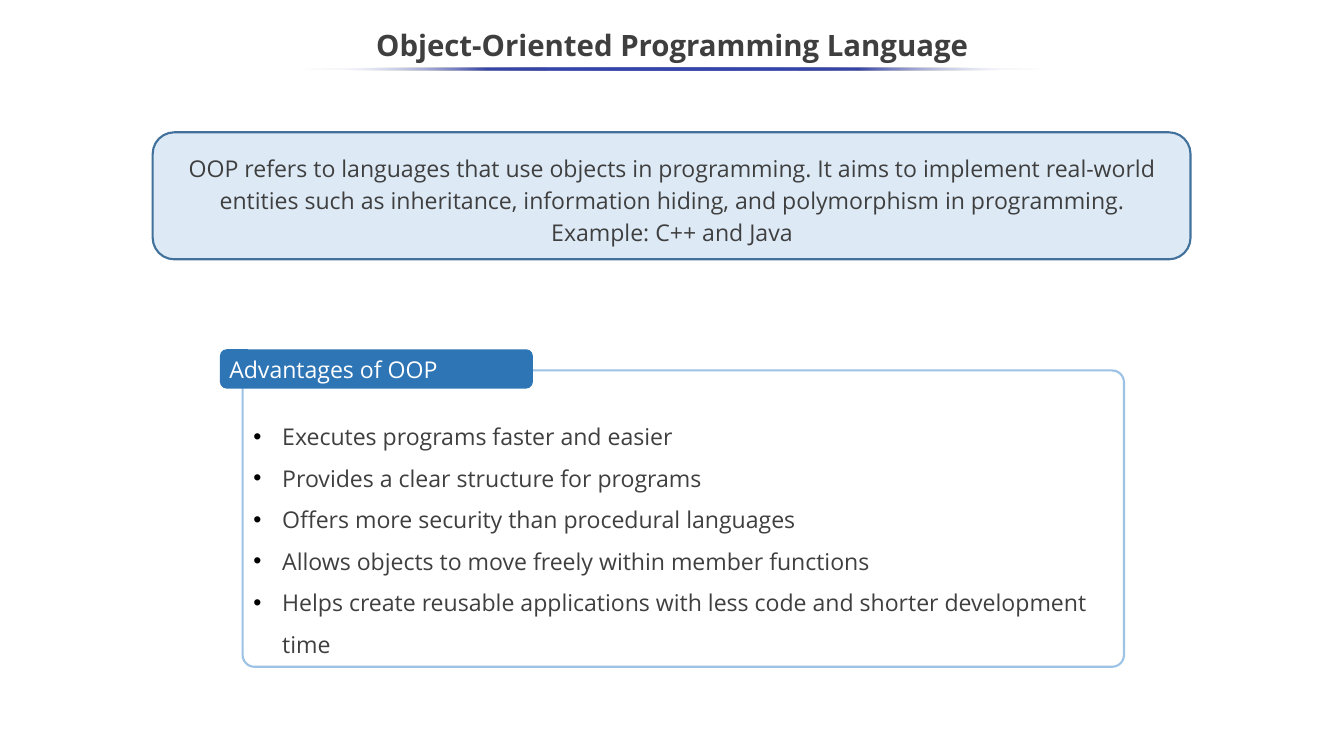
"""Build a slide that defines object-oriented programming and lists its advantages."""
from dataclasses import dataclass
from lxml.etree import SubElement
from pptx import Presentation
from pptx.dml.color import RGBColor
from pptx.enum.shapes import MSO_SHAPE
from pptx.enum.text import MSO_ANCHOR, PP_ALIGN
from pptx.oxml.ns import qn
from pptx.util import Pt

PX = 9144


@dataclass(frozen=True)
class Theme:
    face: str = "Open Sans"
    ink: str = "3F3F3F"
    white: str = "FFFFFF"
    dot: str = "000000"
    pale: str = "DDEAF6"
    edge: str = "42719B"
    frame: str = "9CC2E5"
    tab: str = "2E75B5"
    glow: str = "3645A9"
    head: int = 28
    body: int = 22


theme = Theme()


def add_box(kind, area, fill=None, line=None, round=None):
    box = slide.shapes.add_shape(kind, *[n * PX for n in area])
    box.shadow.inherit = False
    if round is not None:
        box.adjustments[0] = round
    if fill:
        box.fill.solid()
        box.fill.fore_color.rgb = RGBColor.from_string(fill)
    else:
        box.fill.background()
    if line:
        box.line.color.rgb = RGBColor.from_string(line)
        box.line.width = Pt(2)
    else:
        box.line.fill.background()
    return box


def write(box, lines, color=theme.ink, size=theme.body, bold=False, space=1.0,
          align=PP_ALIGN.LEFT, anchor=MSO_ANCHOR.MIDDLE, top=5, bullet=False):
    frame = box.text_frame
    sides = {"margin_left": 10, "margin_right": 10, "margin_top": top, "margin_bottom": 5}
    for name, gap in sides.items():
        setattr(frame, name, gap * PX)
    frame.word_wrap = True
    frame.vertical_anchor = anchor
    look = {"name": theme.face, "size": Pt(size), "bold": bold}
    for i, line in enumerate(lines):
        para = frame.add_paragraph() if i else frame.paragraphs[0]
        para.alignment = align
        para.line_spacing = space
        if bullet:
            props = para._p.get_or_add_pPr()
            props.set("marL", str(38 * PX))
            props.set("indent", str(-38 * PX))
            tint = SubElement(props, qn("a:buClr"))
            SubElement(tint, qn("a:srgbClr"), val=theme.dot)
            SubElement(props, qn("a:buFont"), typeface="Arial")
            SubElement(props, qn("a:buChar"), char="•")
        run = para.add_run()
        run.text = line
        for name, value in look.items():
            setattr(run.font, name, value)
        run.font.color.rgb = RGBColor.from_string(color)


deck = Presentation()
deck.slide_width, deck.slide_height = 1778 * PX, 1000 * PX
slide = deck.slides.add_slide(deck.slide_layouts[6])

add_box(MSO_SHAPE.ROUNDED_RECTANGLE, (202, 175, 1373, 168), theme.pale, theme.edge, 0.17)

title = slide.shapes.add_textbox(*[n * PX for n in (0, 25, 1778, 75)])
write(title, ["Object-Oriented Programming Language"], size=theme.head, bold=True,
      space=0.9, align=PP_ALIGN.CENTER)

intro = slide.shapes.add_textbox(*[n * PX for n in (232, 193, 1314, 138)])
write(intro, [
    "OOP refers to languages that use objects in programming. It aims to implement "
    "real-world entities such as inheritance, information hiding, and polymorphism "
    "in programming.",
    "Example: C++ and Java",
], space=1.15, align=PP_ALIGN.CENTER)

panel = add_box(MSO_SHAPE.ROUNDED_RECTANGLE, (321, 490, 1166, 392), None, theme.frame, 0.04)
write(panel, [
    "Executes programs faster and easier",
    "Provides a clear structure for programs",
    "Offers more security than procedural languages",
    "Allows objects to move freely within member functions",
    "Helps create reusable applications with less code and shorter development time",
], space=1.5, anchor=MSO_ANCHOR.TOP, top=46, bullet=True)

label = add_box(MSO_SHAPE.ROUNDED_RECTANGLE, (291, 462, 414, 52), theme.tab, None, 0.17)
write(label, ["Advantages of OOP"], theme.white, anchor=MSO_ANCHOR.TOP)

rule = add_box(MSO_SHAPE.OVAL, (400, 89, 979, 4))
rule.fill.gradient()
rule.fill.gradient_angle = 180
stops = rule._element.spPr.find(qn("a:gradFill")).find(qn("a:gsLst"))
for stop in list(stops):
    stops.remove(stop)
for place in range(0, 101, 25):
    end = place in (0, 100)
    stop = SubElement(stops, qn("a:gs"), pos=str(place * 1000))
    tint = SubElement(stop, qn("a:srgbClr"), val=theme.white if end else theme.glow)
    if end:
        SubElement(tint, qn("a:alpha"), val="0")

deck.save("out.pptx")
